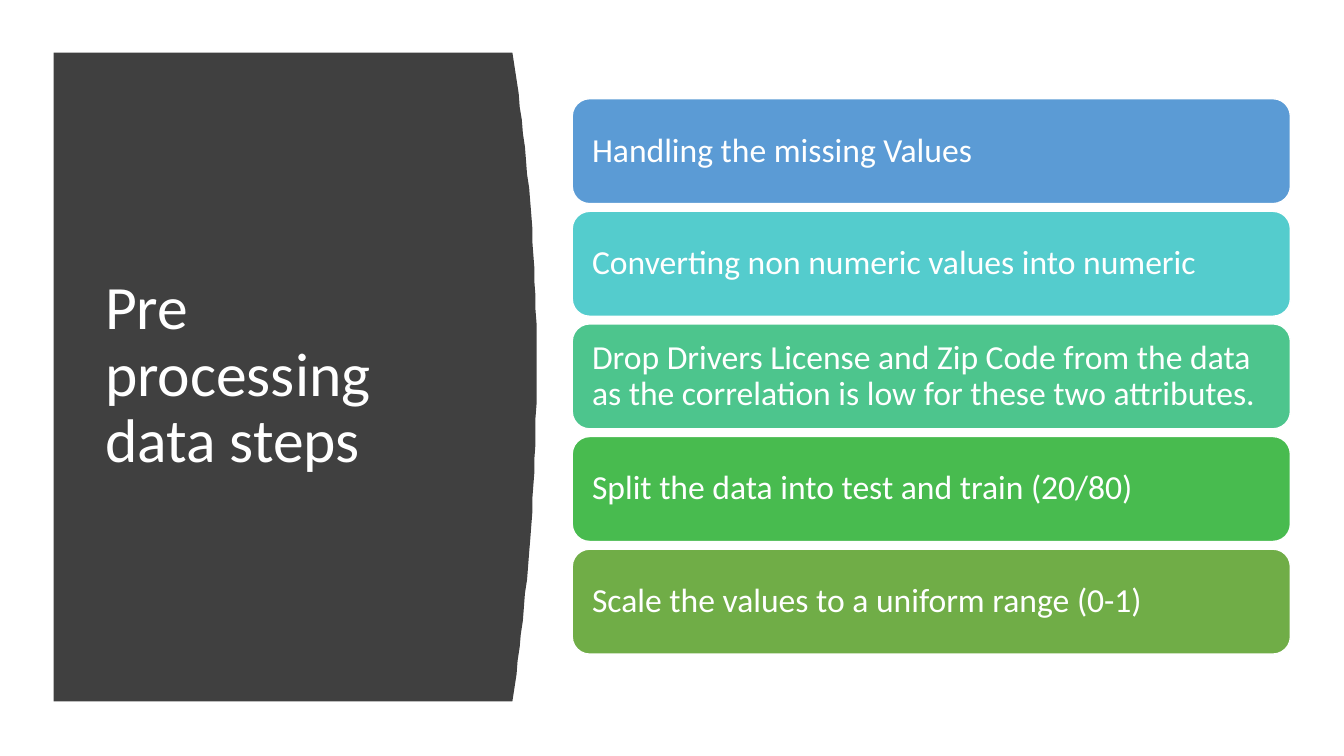
from pptx import Presentation
from pptx import util as u
from pptx.dml.color import RGBColor
from pptx.enum import shapes, text

PX = 9525
WHITE = RGBColor(0xFF, 0xFF, 0xFF)
CHARCOAL = RGBColor(0x40, 0x40, 0x40)
BLUE = RGBColor(0x5B, 0x9B, 0xD5)
TURQUOISE = RGBColor(0x54, 0xCC, 0xCD)
MINT = RGBColor(0x4D, 0xC5, 0x8D)
GREEN = RGBColor(0x48, 0xBB, 0x4F)
OLIVE = RGBColor(0x70, 0xAD, 0x47)

STEPS = [
    ("Handling the missing Values", BLUE),
    ("Converting non numeric values into numeric", TURQUOISE),
    ("Drop Drivers License and Zip Code from the data as the correlation "
     "is low for these two attributes.", MINT),
    ("Split the data into test and train (20/80)", GREEN),
    ("Scale the values to a uniform range (0-1)", OLIVE),
]


def emu(*lengths):
    """Turn px lengths into EMU."""
    return [u.Emu(round(length * PX)) for length in lengths]


def set_all(target, values):
    """Set every attribute in a dict of format values."""
    for name, value in values.items():
        setattr(target, name, value)


def write(shape, words, size, inset):
    """Write left-aligned white text, centred vertically in the shape."""
    frame = shape.text_frame
    margin = u.Emu(inset * PX)
    set_all(frame, {
        "word_wrap": True, "vertical_anchor": text.MSO_ANCHOR.MIDDLE,
        "margin_left": margin, "margin_right": margin,
        "margin_top": u.Emu(5 * PX), "margin_bottom": u.Emu(5 * PX),
    })
    paragraph = frame.paragraphs[0]
    set_all(paragraph, {"text": words, "line_spacing": 0.9,
                        "alignment": text.PP_ALIGN.LEFT})
    set_all(paragraph.runs[0].font, {"name": "Calibri", "size": u.Pt(size)})
    paragraph.runs[0].font.color.rgb = WHITE


def paint(shape, color):
    """Give the shape a plain fill and no shadow."""
    shape.shadow.inherit = False
    shape.fill.solid()
    shape.fill.fore_color.rgb = color


def add_title_panel(slide, left, top, width, height):
    """Draw the dark panel with its bowed right edge, and the title on it."""
    bulge, peak, samples = 23, 296, 48
    edge = []
    for index in range(samples + 1):
        y = height * index / samples
        reach = peak if y < peak else height - peak
        x = width - bulge * ((y - peak) / reach) ** 2
        edge.append((left + x, top + y))
    builder = slide.shapes.build_freeform(left, top, scale=PX)
    builder.add_line_segments(edge + [(left, top + height)], close=True)
    panel = builder.convert_to_shape()
    paint(panel, CHARCOAL)
    panel.line.fill.background()
    title = slide.shapes.add_textbox(*emu(left + 39, top + 57, 359, 503))
    write(title, "Pre processing data steps", 44, 10)


def add_step_list(slide, left, top, width, height):
    """Stack the step bars with equal gaps."""
    bar_height = 100
    pitch = (height - bar_height) / (len(STEPS) - 1)
    for index, (words, color) in enumerate(STEPS):
        bar = slide.shapes.add_shape(
            shapes.MSO_SHAPE.ROUNDED_RECTANGLE,
            *emu(left, top + index * pitch, width, bar_height))
        paint(bar, color)
        bar.line.color.rgb = WHITE
        bar.line.width = u.Pt(1)
        write(bar, words, 24, 14)


def main():
    """Build the slide and save it."""
    presentation = Presentation()
    slide_width, slide_height = emu(1280, 720)
    set_all(presentation, {"slide_width": slide_width,
                           "slide_height": slide_height})
    slide = presentation.slides.add_slide(presentation.slide_layouts[6])
    add_title_panel(slide, 51, 50, 460, 618)
    add_step_list(slide, 545, 94, 684, 529)
    presentation.save("out.pptx")


if __name__ == "__main__":
    main()
